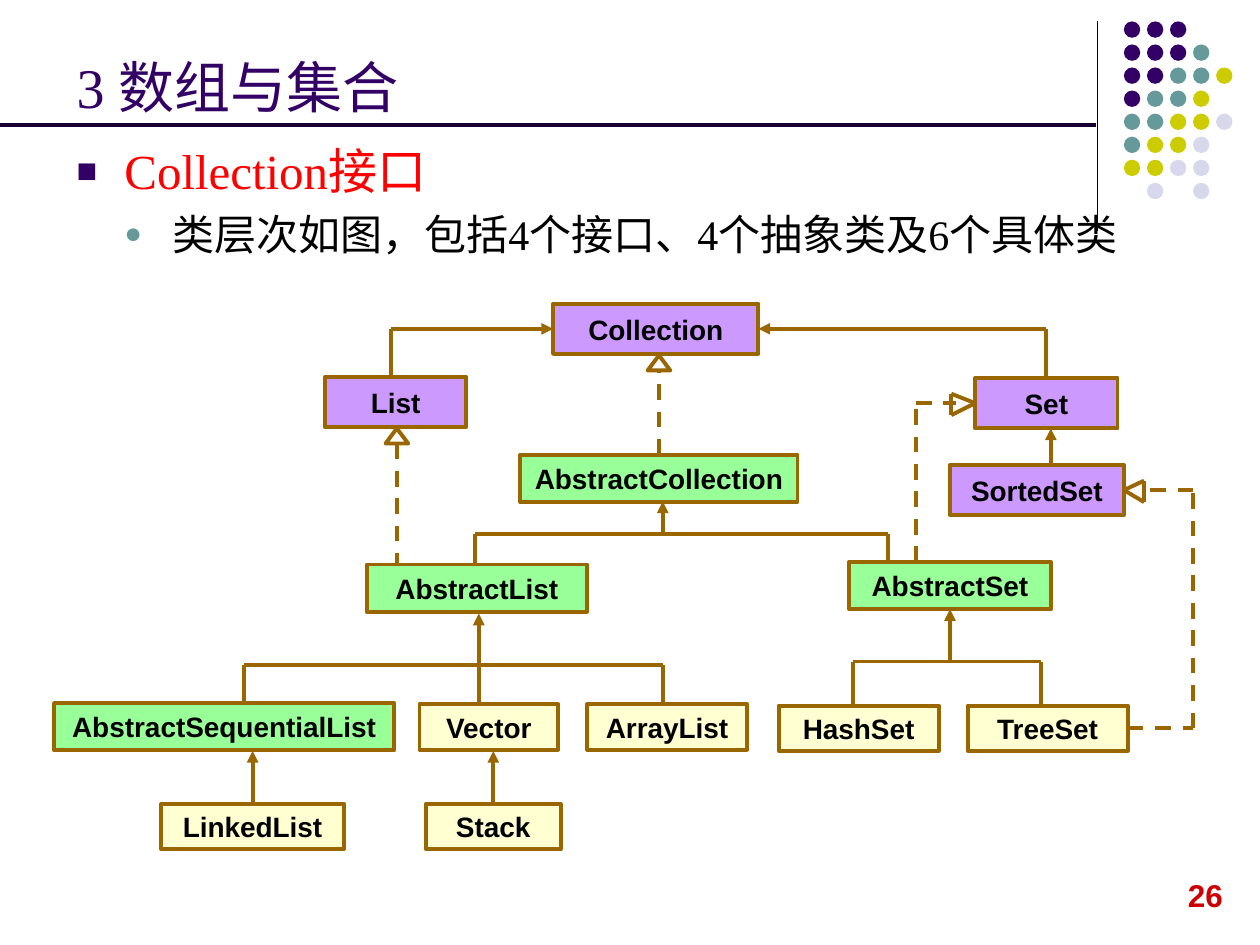
from lxml.etree import SubElement
from pptx import Presentation
from pptx.dml.color import RGBColor
from pptx.enum.dml import MSO_LINE
from pptx.enum.shapes import MSO_CONNECTOR, MSO_SHAPE
from pptx.enum.text import MSO_ANCHOR as ANCHOR, PP_ALIGN as ALIGN
from pptx.oxml.ns import qn
from pptx.util import Inches, Pt

PURPLE = RGBColor(0x33, 0x00, 0x66)
TEAL = RGBColor(0x66, 0x99, 0x99)
OLIVE = RGBColor(0xCC, 0xCC, 0x00)
PALE = RGBColor(0xD8, 0xD8, 0xEC)
RULE = RGBColor(0x19, 0x00, 0x33)
BROWN = RGBColor(0x99, 0x66, 0x00)
LILAC = RGBColor(0xCC, 0x99, 0xFF)
GREEN = RGBColor(0x99, 0xFF, 0x99)
CREAM = RGBColor(0xFF, 0xFF, 0xD1)
RED = RGBColor(0xFF, 0x00, 0x00)
DARK_RED = RGBColor(0xCC, 0x00, 0x00)
BLACK = RGBColor(0x00, 0x00, 0x00)
WHITE = RGBColor(0xFF, 0xFF, 0xFF)

SERIF, SANS = "Times New Roman", "Arial"
CELL = 0.1  # the slide is a grid of 100 columns by 75 rows
TOP, LEFT, BOTTOM, RIGHT = range(4)

DOTS = ["PPP", "PPPT", "PPTTO", "PTTO", "TTOOL", "TOOL", "OOLL", " L L"]
DOT_COLORS = {"P": PURPLE, "T": TEAL, "O": OLIVE, "L": PALE}

# fill, height, then name: (column, row, columns wide)
CLASSES = [
    (LILAC, 4, {"Collection": (43.9, 24.1, 16.3), "List": (25.8, 29.9, 11.2),
                "Set": (77.4, 30, 11.3), "SortedSet": (75.4, 36.9, 13.8)}),
    (GREEN, 3.75, {"AbstractCollection": (41.3, 36.1, 22),
                   "AbstractSet": (67.4, 44.6, 16),
                   "AbstractList": (29.1, 44.8, 17.5),
                   "AbstractSequentialList": (4.3, 55.8, 27)}),
    (CREAM, 3.6, {"Vector": (33.3, 55.9, 11), "ArrayList": (46.6, 55.9, 12.7),
                  "HashSet": (61.8, 56, 12.7), "TreeSet": (76.8, 56, 12.7),
                  "LinkedList": (12.8, 63.8, 14.5), "Stack": (33.8, 63.8, 10.7)}),
]


def grid(*cells):
    return [Inches(n * CELL) for n in cells]


def add_text(p, text, size=16, font=SANS, color=BLACK, bold=False, align=ALIGN.LEFT):
    p.alignment = align
    r = p.add_run()
    r.text = text
    f = r.font
    f.size, f.name, f.bold = Pt(size), font, bold
    f.color.rgb = color


def add_box(s, at, anchor=ANCHOR.TOP, wrap=True):
    tf = s.shapes.add_textbox(*grid(*at)).text_frame
    tf.word_wrap, tf.vertical_anchor = wrap, anchor
    return tf


def add_bullet(p, char, color, level):
    p.level = level
    pPr = p._p.get_or_add_pPr()
    pPr.set("marL", str(Inches(0.38 * (level + 1))))
    pPr.set("indent", str(Inches(-0.38)))
    clr = SubElement(pPr, qn("a:buClr"))
    SubElement(clr, qn("a:srgbClr"), val=str(color))
    SubElement(pPr, qn("a:buSzPct"), val="70000")
    SubElement(pPr, qn("a:buFont"), typeface=SANS)
    SubElement(pPr, qn("a:buChar"), char=char)


def add_shape(s, kind, at, fill, outlined=True):
    sp = s.shapes.add_shape(kind, *grid(*at))
    sp.shadow.inherit = False
    sp.fill.solid()
    sp.fill.fore_color.rgb = fill
    if outlined:
        sp.line.color.rgb, sp.line.width = BROWN, Pt(2.25)
    else:
        sp.line.fill.background()
    return sp


def add_class(s, name, at, fill):
    sp = add_shape(s, MSO_SHAPE.RECTANGLE, at, fill)
    tf = sp.text_frame
    tf.word_wrap, tf.vertical_anchor = False, ANCHOR.MIDDLE
    add_text(tf.paragraphs[0], name, bold=True, align=ALIGN.CENTER)
    return sp


def add_line(s, start, end, color=BROWN, width=2.25, dash=False, arrow=False):
    """Each end is a (column, row) point or a (rectangle, side) pair."""
    joined = [not isinstance(e[0], (int, float)) for e in (start, end)]
    points = [(0, 0) if j else e for j, e in zip(joined, (start, end))]
    ln = s.shapes.add_connector(MSO_CONNECTOR.STRAIGHT, *grid(*points[0], *points[1]))
    if joined[0]:
        ln.begin_connect(*start)
    if joined[1]:
        ln.end_connect(*end)
    ln.line.color.rgb, ln.line.width = color, Pt(width)
    if dash:
        ln.line.dash_style = MSO_LINE.DASH
    if arrow:
        SubElement(ln.line._get_or_add_ln(), qn("a:tailEnd"), type="triangle")
    SubElement(ln._element.spPr, qn("a:effectLst"))


def add_path(s, *points, arrow=False, **style):
    last = len(points) - 2
    for i, (start, end) in enumerate(zip(points, points[1:])):
        add_line(s, start, end, arrow=arrow and i == last, **style)


def add_fork(s, row, children, stem, head):
    """Children hang from a bar; a stem rises from the bar to the parent."""
    for col, child_row in children:
        add_line(s, (col, row), (col, child_row))
    add_line(s, (children[0][0], row), (children[-1][0], row))
    add_line(s, (stem, row), head, arrow=True)


def add_open_head(s, col, row, tip):
    """Sideways hollow arrowhead with its back at col."""
    upper, lower = (col, row - 0.85), (col, row + 0.85)
    add_path(s, upper, lower, tip, upper)


def add_dots(s):
    for row, marks in enumerate(DOTS):
        for col, mark in enumerate(marks):
            if mark in DOT_COLORS:
                at = (89.2 + 1.83 * col, 1.7 + 1.83 * row, 1.3, 1.3)
                add_shape(s, MSO_SHAPE.OVAL, at, DOT_COLORS[mark], outlined=False)


def add_diagram(s):
    box = {name: add_class(s, name, (col, row, width, height), fill)
           for fill, height, places in CLASSES
           for name, (col, row, width) in places.items()}

    # Interfaces extending interfaces
    add_path(s, (31, 29.9), (31, 26.1), (box["Collection"], LEFT), arrow=True)
    add_path(s, (box["Set"], TOP), (83.05, 26.1), (box["Collection"], RIGHT), arrow=True)
    add_line(s, (83.4, 36.9), (83.4, 34), arrow=True)

    # Classes extending classes
    add_fork(s, 42.4, [(37.7, 44.8), (70.5, 44.6)], 52.6, (52.6, 39.8))
    add_fork(s, 52.8, [(19.4, 55.8), (38, 55.9), (52.6, 55.9)], 38, (38, 48.7))
    add_fork(s, 52.5, [(67.7, 56), (82.6, 56)], 75.4, (box["AbstractSet"], BOTTOM))
    add_line(s, (box["LinkedList"], TOP), (20.05, 59.6), arrow=True)
    add_line(s, (box["Stack"], TOP), (39.15, 59.6), arrow=True)

    # Classes implementing interfaces
    for col, row in [(30.6, 34), (51.4, 28.2)]:
        add_shape(s, MSO_SHAPE.ISOSCELES_TRIANGLE, (col, row, 1.8, 1.2), WHITE)
    add_line(s, (31.5, 35.2), (31.5, 44.8), dash=True)
    add_line(s, (box["AbstractCollection"], TOP), (52.3, 29.4), dash=True)
    add_path(s, (72.7, 44.6), (72.7, 32), (75.9, 32), dash=True)
    add_open_head(s, 75.5, 32.1, (box["Set"], LEFT))
    add_path(s, (box["TreeSet"], RIGHT), (94.7, 57.8), (94.7, 38.9), (91, 38.9), dash=True)
    add_open_head(s, 90.8, 39, (box["SortedSet"], RIGHT))


def main():
    prs = Presentation()
    prs.slide_width, prs.slide_height = grid(100, 75)
    s = prs.slides.add_slide(prs.slide_layouts[6])

    # Corner decoration and page number
    add_line(s, (87.1, 1.7), (87.1, 18.3), color=BLACK, width=0.75)
    add_dots(s)
    tf = add_box(s, (93.3, 69, 4.8, 4), wrap=False)
    add_text(tf.paragraphs[0], "26", size=18, color=DARK_RED, bold=True)

    # Title with its rule
    tf = add_box(s, (5.1, 2.1, 82.5, 7.9), anchor=ANCHOR.BOTTOM)
    add_text(tf.paragraphs[0], "3 数组与集合", size=32, font=SERIF, color=PURPLE)
    add_line(s, (0, 9.9), (87, 9.9), color=RULE)

    # Bulleted text
    tf = add_box(s, (5.1, 10.7, 90, 12))
    p = tf.paragraphs[0]
    add_bullet(p, "■", PURPLE, 0)
    add_text(p, "Collection接口", size=28, font=SERIF, color=RED)
    p = tf.add_paragraph()
    p.space_before = Pt(5)
    add_bullet(p, "●", TEAL, 1)
    add_text(p, "类层次如图，包括4个接口、4个抽象类及6个具体类", size=24, font=SERIF)

    add_diagram(s)
    prs.save("out.pptx")


if __name__ == "__main__":
    main()
